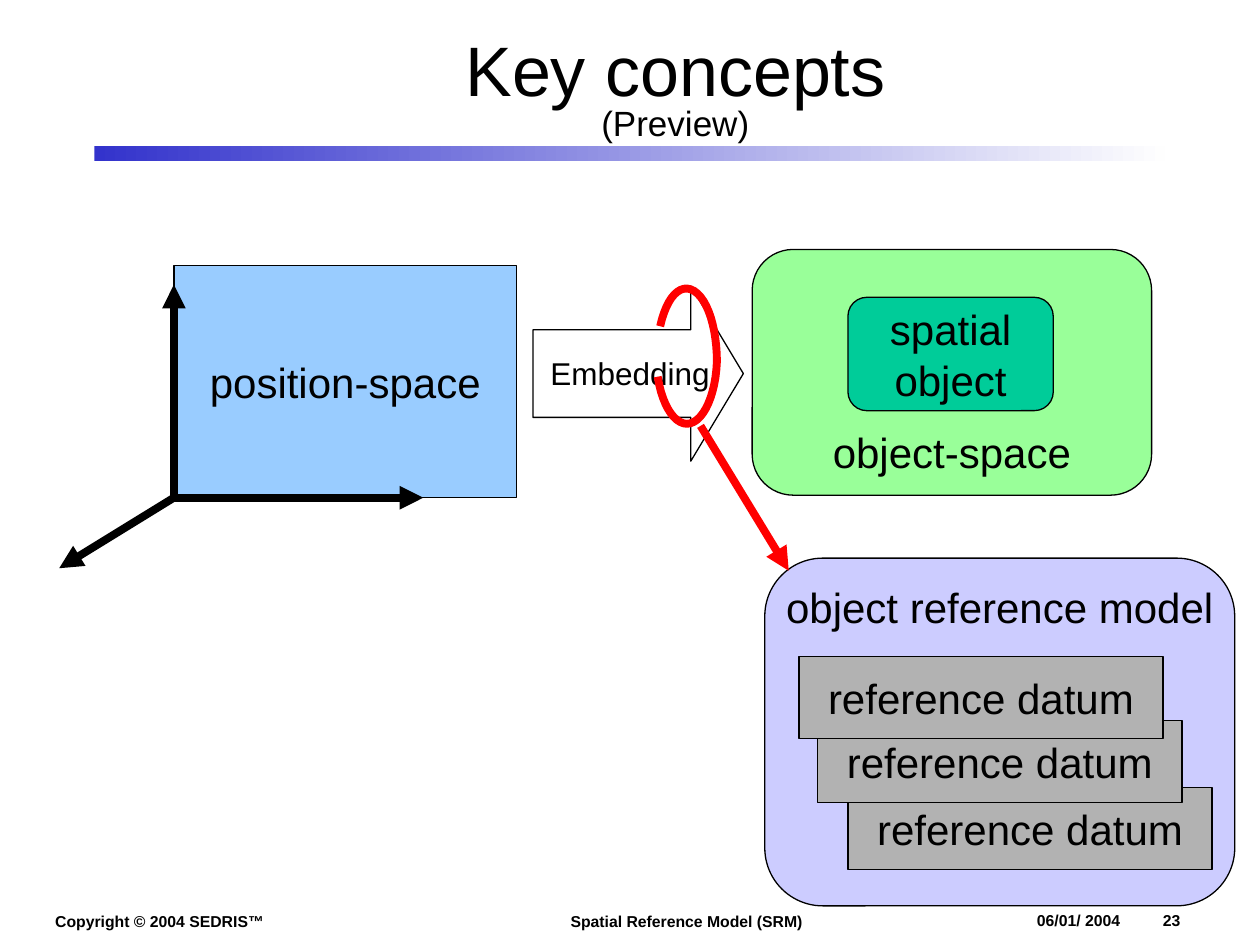
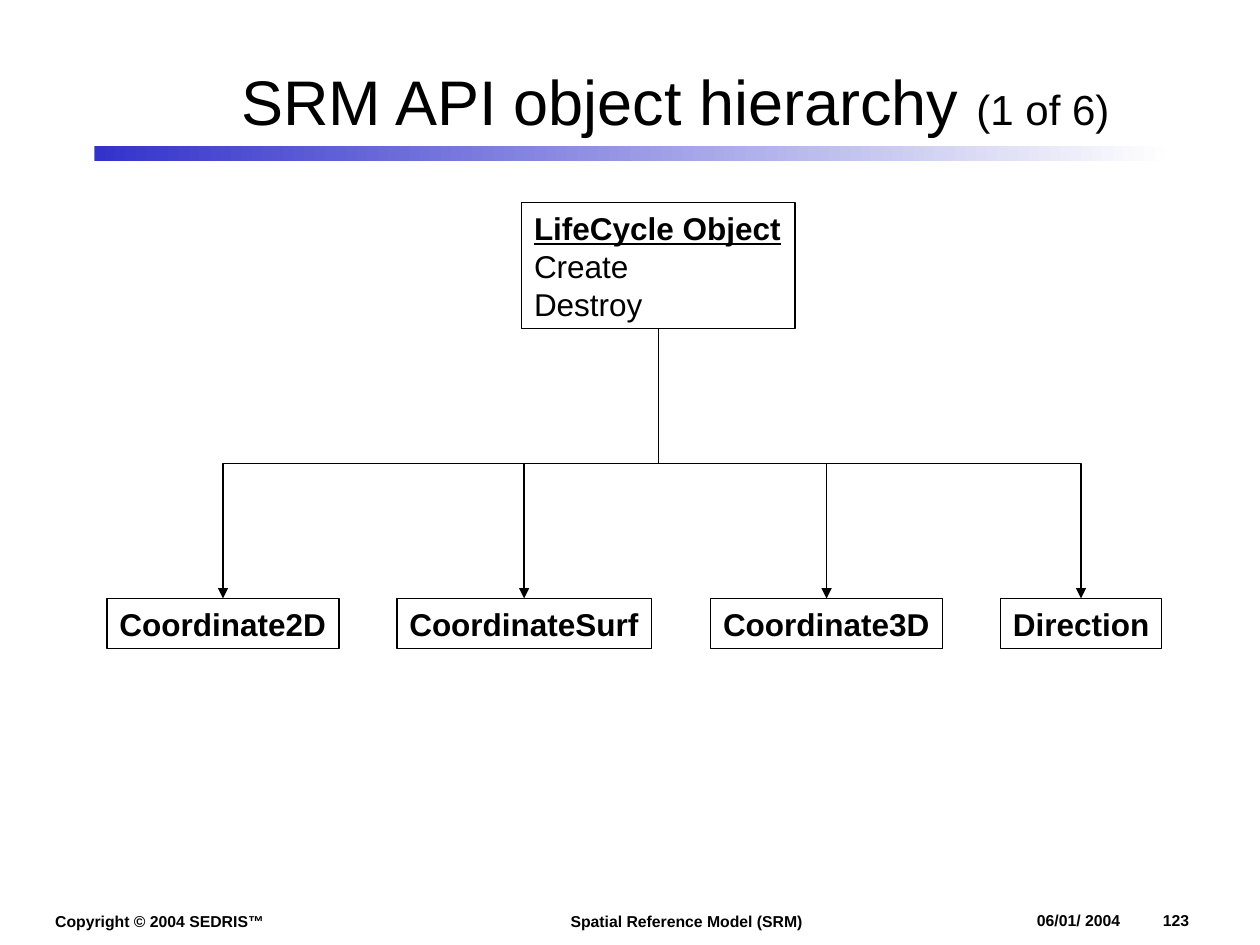
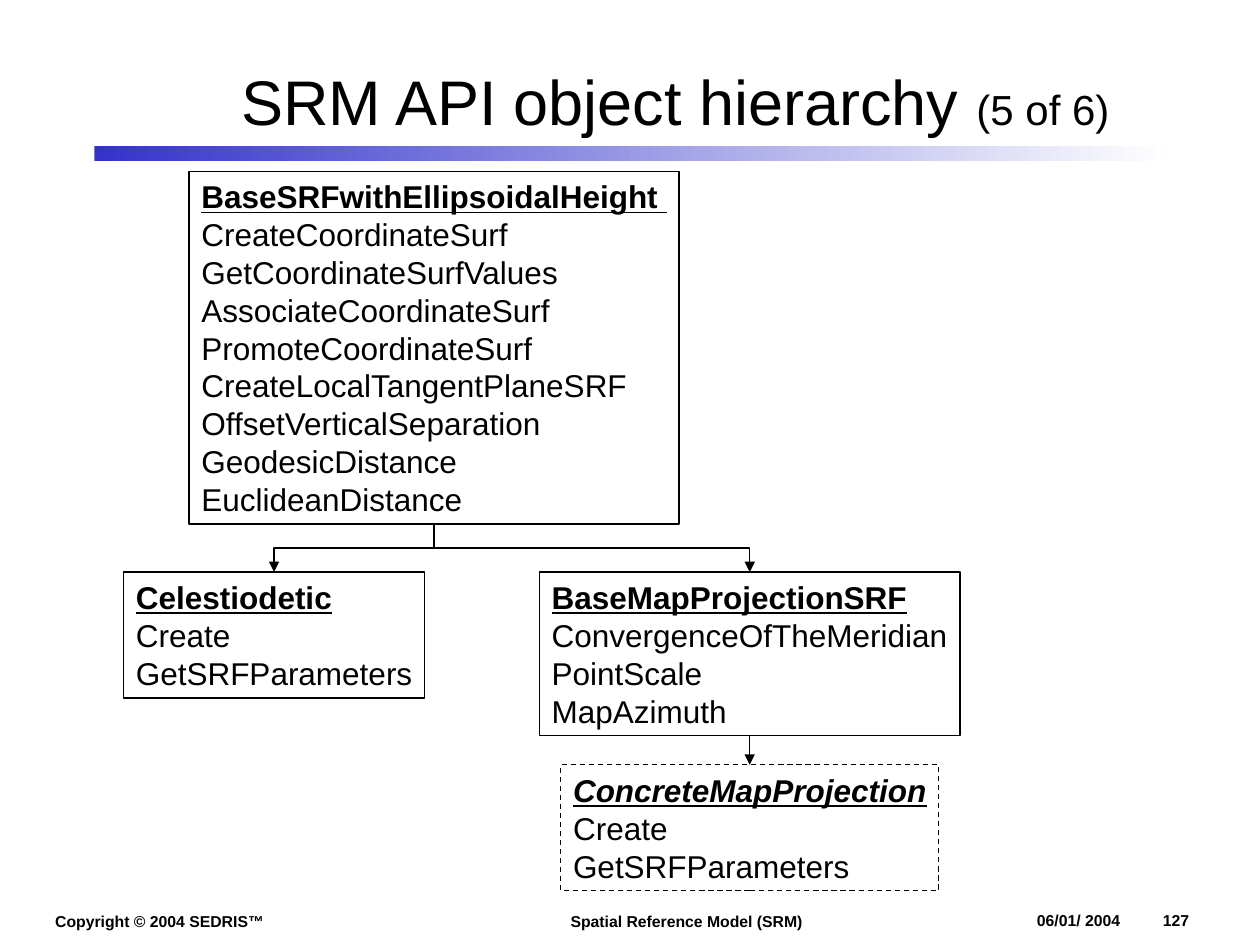
"""Builds three Spatial Reference Model slides: key concepts and two object hierarchies."""
from pptx import Presentation
from pptx.dml.color import RGBColor
from pptx.enum import dml, shapes, text
from pptx.oxml.ns import qn
from pptx.util import Inches, Pt
from lxml import etree

FONT = "Arial"
BLACK, WHITE, BLUE, FADE, RED = "000000", "FFFFFF", "3333CC", "FEFEFE", "FF0000"
SKY, LIME, TEAL, LILAC, GRAY = "99CCFF", "99FF99", "00CC99", "CCCCFF", "B2B2B2"
RECT = shapes.MSO_SHAPE.RECTANGLE
ROUND = shapes.MSO_SHAPE.ROUNDED_RECTANGLE
ARROW = shapes.MSO_SHAPE.RIGHT_ARROW
LEFT, CENTER = text.PP_ALIGN.LEFT, text.PP_ALIGN.CENTER
TOP, MIDDLE, BOTTOM = (text.MSO_ANCHOR.TOP, text.MSO_ANCHOR.MIDDLE,
                       text.MSO_ANCHOR.BOTTOM)

FOOTERS = [("Copyright © 2004 SEDRIS™", (0.34, 7.19, 2, 0.25)),
           ("Spatial Reference Model (SRM)", (4.43, 7.19, 2.2, 0.25))]
DATE = "06/01/ 2004"

CONCEPTS = [
    (ARROW, (4.23, 2.27, 1.67, 1.39), WHITE, [], MIDDLE),
    (ROUND, (5.97, 1.98, 3.17, 1.95), LIME, ["object-space"], BOTTOM),
    (ROUND, (6.73, 2.36, 1.63, 0.9), TEAL, ["spatial", "object"], MIDDLE),
    (RECT, (1.38, 2.11, 2.72, 1.84), SKY, ["position-space"], MIDDLE),
    (ROUND, (6.07, 4.43, 3.73, 2.76), LILAC, ["object reference model"], TOP),
] + [(RECT, (x, y, 2.89, 0.65), GRAY, ["reference datum"], MIDDLE)
     for x, y in [(6.73, 6.25), (6.49, 5.72), (6.34, 5.21)]]
ORIGIN = (1.38, 3.95)
AXIS_ENDS = [(3.36, 3.95), (1.38, 2.26), (0.47, 4.51)]
LOOP_START = (5.24, 2.59)
LOOP_CURVES = [
    [(5.29, 2.36), (5.4, 2.24), (5.51, 2.31)],
    [(5.62, 2.38), (5.69, 2.61), (5.69, 2.87)],
    [(5.68, 3.13), (5.59, 3.33), (5.48, 3.36)],
    [(5.37, 3.39), (5.26, 3.24), (5.22, 2.99)],
]
LOOP_STEPS = 12

HIERARCHIES = [
    {"part": "(1 of 6)", "page": 123,
     "boxes": {
         "LifeCycle Object": ((4.14, 1.61, 2.17, 1), "bu", ["Create", "Destroy"]),
         "Coordinate2D": ((0.85, 4.75, 1.84, 0.4), "b", []),
         "CoordinateSurf": ((3.15, 4.75, 2.02, 0.4), "b", []),
         "Coordinate3D": ((5.64, 4.75, 1.84, 0.4), "b", []),
         "Direction": ((7.94, 4.75, 1.28, 0.4), "b", [])},
     "links": [("LifeCycle Object", child) for child in
               ("Coordinate2D", "CoordinateSurf", "Coordinate3D", "Direction")]},
    {"part": "(5 of 6)", "page": 127,
     "boxes": {
         "BaseSRFwithEllipsoidalHeight ": ((1.5, 1.36, 3.89, 2.8), "bu", [
             "CreateCoordinateSurf", "GetCoordinateSurfValues",
             "AssociateCoordinateSurf", "PromoteCoordinateSurf",
             "CreateLocalTangentPlaneSRF", "OffsetVerticalSeparation",
             "GeodesicDistance", "EuclideanDistance"]),
         "Celestiodetic": ((0.98, 4.54, 2.39, 1), "bu",
                           ["Create", "GetSRFParameters"]),
         "BaseMapProjectionSRF": ((4.28, 4.54, 3.34, 1.3), "bu", [
             "ConvergenceOfTheMeridian", "PointScale", "MapAzimuth"]),
         "ConcreteMapProjection": ((4.45, 6.07, 3, 1), "bui",
                                   ["Create", "GetSRFParameters"])},
     "links": [("BaseSRFwithEllipsoidalHeight ", "Celestiodetic"),
               ("BaseSRFwithEllipsoidalHeight ", "BaseMapProjectionSRF"),
               ("BaseMapProjectionSRF", "ConcreteMapProjection")]},
]


def color(value):
    return RGBColor.from_string(value)


def inches(values):
    return [Inches(v) for v in values]


def add_tabs(p, stops):
    tabs = etree.SubElement(p._p.get_or_add_pPr(), qn("a:tabLst"))
    for pos, align in stops:
        etree.SubElement(tabs, qn("a:tab"), pos=str(Inches(pos)), algn=align)


def write(sp, paragraphs, align=LEFT, anchor=TOP, wrap=False, spacing=None, inset=(0.1, 0.05)):
    tf = sp.text_frame
    tf.word_wrap, tf.vertical_anchor = wrap, anchor
    tf.margin_left = tf.margin_right = Inches(inset[0])
    tf.margin_top = tf.margin_bottom = Inches(inset[1])
    for i, runs in enumerate(paragraphs):
        p = tf.add_paragraph() if i else tf.paragraphs[0]
        p.alignment = align
        if spacing:
            p.line_spacing = spacing
        for words, size, style in runs:
            r = p.add_run()
            r.text = words
            f = r.font
            f.name, f.size = FONT, Pt(size)
            f.bold, f.italic, f.underline = "b" in style, "i" in style, "u" in style
            f.color.rgb = color(BLACK)
    return tf


def add_text(s, at, paragraphs, **options):
    return write(s.shapes.add_textbox(*inches(at)), paragraphs, **options)


def add_box(s, kind, at, fill):
    sp = s.shapes.add_shape(kind, *inches(at))
    sp.shadow.inherit = False
    sp.fill.solid()
    sp.fill.fore_color.rgb = color(fill)
    sp.line.color.rgb = color(BLACK)
    sp.line.width = Pt(0.75)
    return sp


def add_arrow(s, start, end, line=BLACK, width=0.75, kind=shapes.MSO_CONNECTOR.STRAIGHT):
    c = s.shapes.add_connector(kind, *inches(start + end))
    c.line.color.rgb = color(line)
    c.line.width = Pt(width)
    etree.SubElement(c.line._get_or_add_ln(), qn("a:tailEnd"), type="triangle")
    etree.SubElement(c._element.spPr, qn("a:effectLst"))
    return c


def add_link(s, parent, child):
    x0, y0 = parent.left + parent.width // 2, parent.top + parent.height
    x1, y1 = child.left + child.width // 2, child.top
    straight = abs(x1 - x0) < Inches(0.02)
    kind = shapes.MSO_CONNECTOR.STRAIGHT if straight else shapes.MSO_CONNECTOR.ELBOW
    c = add_arrow(s, (0, 0), (1, 1), kind=kind)
    c.begin_connect(parent, 2)
    c.end_connect(child, 0)
    if straight:
        return
    xfrm = c._element.spPr.find(qn("a:xfrm"))
    xfrm.attrib.clear()
    xfrm.set("rot", "16200000" if x1 > x0 else "5400000")
    if x1 > x0:
        xfrm.set("flipH", "1")
    c.width, c.height = y1 - y0, abs(x1 - x0)
    c.left = (x0 + x1 - c.width) // 2
    c.top = (y0 + y1 - c.height) // 2


def add_loop(s):
    points, start = [], LOOP_START
    for a, b, end in LOOP_CURVES:
        for t in (i / LOOP_STEPS for i in range(1, LOOP_STEPS + 1)):
            v = 1 - t
            points.append(inches(
                v**3 * p0 + 3 * v * v * t * p1 + 3 * v * t * t * p2 + t**3 * p3
                for p0, p1, p2, p3 in zip(start, a, b, end)))
        start = end
    builder = s.shapes.build_freeform(*inches(LOOP_START))
    builder.add_line_segments(points, close=False)
    sp = builder.convert_to_shape()
    sp.shadow.inherit = False
    sp.fill.background()
    sp.line.color.rgb = color(RED)
    sp.line.width = Pt(4.5)


def new_slide(prs, title, page, top=0.25, spacing=None):
    s = prs.slides.add_slide(prs.slide_layouts[6])
    for words, at in FOOTERS:
        add_text(s, at, [[(words, 9, "b")]])
    tf = add_text(s, (8.23, 7.23, 1.44, 0.15), [[(f"{DATE}\t\t{page}", 9, "b")]],
                  anchor=BOTTOM, wrap=True, inset=(0, 0))
    add_tabs(tf.paragraphs[0], [(0.75, "r"), (1, "l")])
    band = add_box(s, RECT, (0.75, 1.16, 8.5, 0.12), BLUE)
    band.line.fill.background()
    band.fill.gradient()
    band.fill.gradient_angle = 0
    for stop, value in zip(band.fill.gradient_stops, (BLUE, FADE)):
        stop.color.rgb = color(value)
    add_text(s, (1.21, top, 8.3, 1.09), title, align=CENTER, anchor=MIDDLE,
             wrap=True, spacing=spacing)
    return s


def concepts_slide(prs):
    s = new_slide(prs, [[("Key concepts", 40, "")], [("(Preview)", 20, "")]],
                  23, top=0.19, spacing=0.8)
    for kind, at, fill, lines, anchor in CONCEPTS:
        sp = add_box(s, kind, at, fill)
        if kind == ARROW:
            sp.adjustments[1] = 0.3
        write(sp, [[(line, 24, "")] for line in lines], CENTER, anchor)
    add_text(s, (4.27, 2.76, 1.6, 0.4), [[("Embedding", 18, "")]])
    for end in AXIS_ENDS:
        add_arrow(s, ORIGIN, end, width=4.5)
    add_loop(s)
    add_arrow(s, (5.56, 3.38), (6.26, 4.53), RED, 4.5)


def hierarchy_slide(prs, part, page, boxes, links):
    s = new_slide(prs, [[("SRM API object hierarchy ", 36, ""), (part, 24, "")]], page)
    drawn = {}
    for name, (at, style, methods) in boxes.items():
        sp = drawn[name] = add_box(s, RECT, at, WHITE)
        write(sp, [[(name, 18, style)]] + [[(m, 18, "")] for m in methods])
        if "i" in style:
            sp.line.dash_style = dml.MSO_LINE.DASH
    for parent, child in links:
        add_link(s, drawn[parent], drawn[child])


def main():
    prs = Presentation()
    prs.slide_width, prs.slide_height = Inches(10), Inches(7.5)
    concepts_slide(prs)
    for hierarchy in HIERARCHIES:
        hierarchy_slide(prs, **hierarchy)
    prs.save("out.pptx")


if __name__ == "__main__":
    main()
